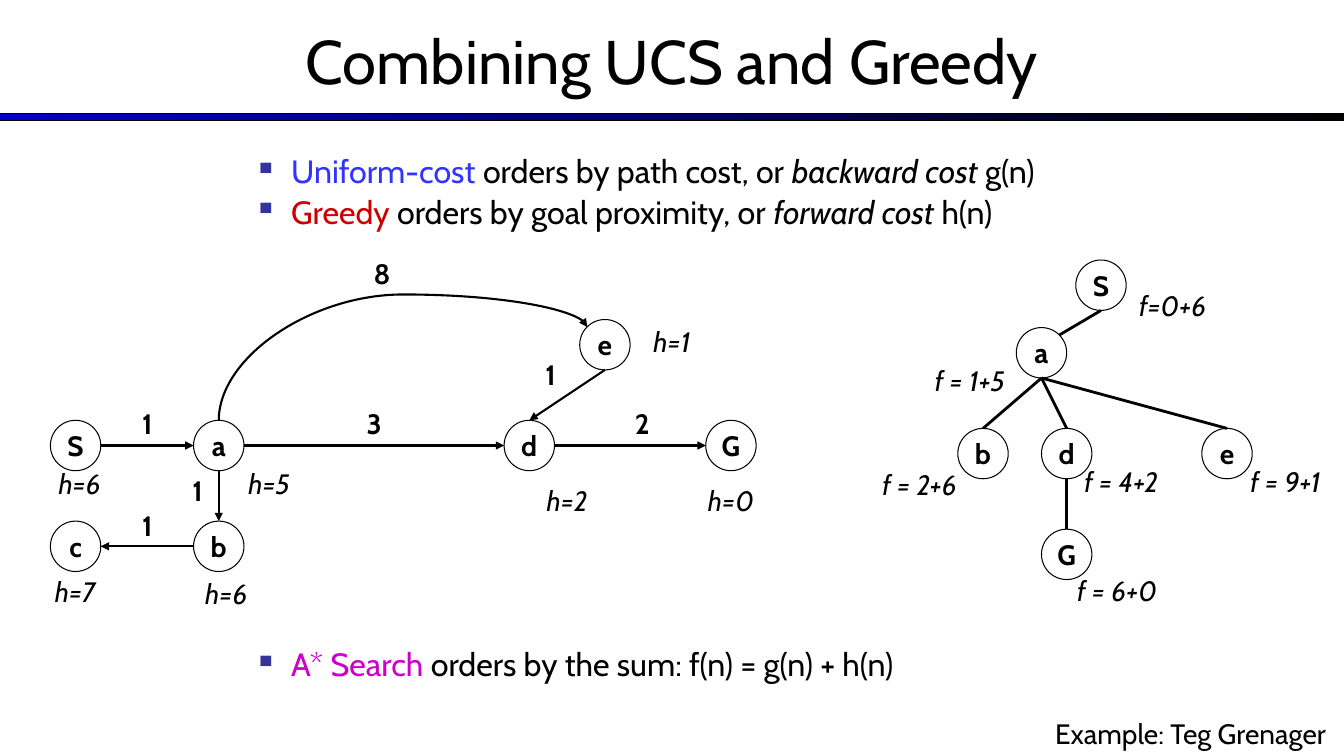
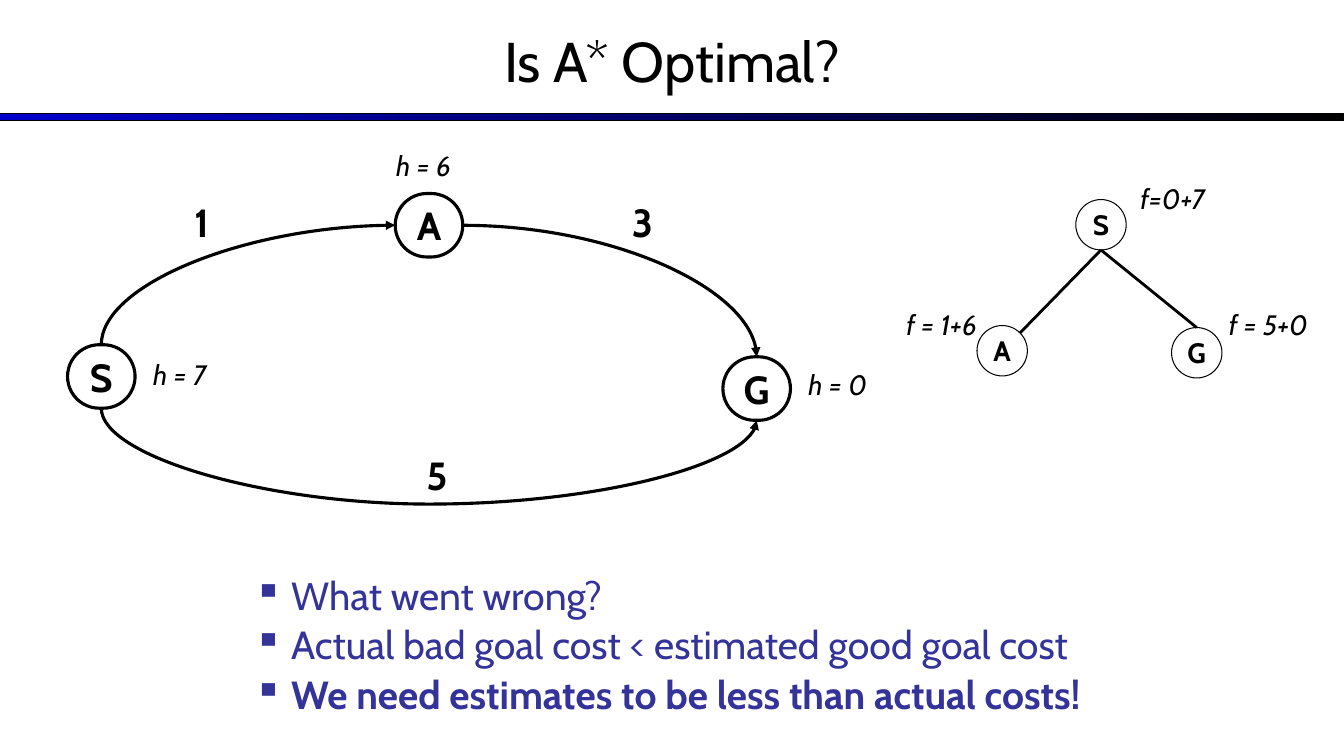
from lxml import etree
from pptx import Presentation
from pptx import util as u
from pptx.dml.color import RGBColor
from pptx.enum import shapes, text
from pptx.oxml import ns

BLACK = RGBColor(0x00, 0x00, 0x00)
WHITE = RGBColor(0xFF, 0xFF, 0xFF)
BAND_BLUE = RGBColor(0x00, 0x00, 0xCC)
BLUE = RGBColor(0x33, 0x33, 0xFF)
RED = RGBColor(0xCC, 0x00, 0x00)
MAGENTA = RGBColor(0xCC, 0x00, 0xCC)
INDIGO = RGBColor(0x33, 0x33, 0x99)

FONT = "Cabin"
OVAL = shapes.MSO_SHAPE.OVAL
ROUNDED = shapes.MSO_SHAPE.ROUNDED_RECTANGLE
CENTER = text.PP_ALIGN.CENTER
LEFT = text.PP_ALIGN.LEFT
RIGHT = text.PP_ALIGN.RIGHT

ANCHORS = {
    "top": (0.5, 0),
    "top left": (0.15, 0.15),
    "left": (0, 0.5),
    "bottom": (0.5, 1),
    "right": (1, 0.5),
    "top right": (0.85, 0.15),
}
SITES = {
    OVAL: {"top": 0, "top left": 1, "left": 2, "bottom": 4, "right": 6, "top right": 7},
    ROUNDED: {"top": 0, "left": 1, "bottom": 2, "right": 3},
}


def add_xml(parent, tag, **attributes):
    return etree.SubElement(parent, ns.qn(tag), attributes)


def style_font(font, size, color=BLACK, bold=False, italic=False):
    font.name = FONT
    font.size = u.Pt(size)
    font.color.rgb = color
    font.bold = bold
    font.italic = italic


def add_band(slide, width):
    band = slide.shapes.add_shape(
        shapes.MSO_SHAPE.RECTANGLE, 0, u.Inches(1.13), width, u.Inches(0.07))
    band.shadow.inherit = False
    band.fill.gradient()
    band.fill.gradient_angle = 0
    for stop, color in zip(band.fill.gradient_stops, (BAND_BLUE, BLACK)):
        stop.color.rgb = color
    band.line.color.rgb = BLACK
    band.line.width = u.Pt(0.75)


def add_slide(presentation, title_text, title_size):
    slide = presentation.slides.add_slide(presentation.slide_layouts[5])
    add_band(slide, presentation.slide_width)
    title = slide.shapes.title
    title.left, title.top = 0, u.Inches(-0.03)
    title.width, title.height = presentation.slide_width, u.Inches(1.25)
    title.text_frame.text = title_text
    title.text_frame.vertical_anchor = text.MSO_ANCHOR.MIDDLE
    paragraph = title.text_frame.paragraphs[0]
    paragraph.alignment = CENTER
    style_font(paragraph.font, title_size)
    return slide


def add_text_box(slide, left, top, width, height):
    box = slide.shapes.add_textbox(
        u.Inches(left), u.Inches(top), u.Inches(width), u.Inches(height))
    box.text_frame.word_wrap = True
    return box.text_frame


def add_label(slide, label, left, top, width, size=20, bold=False, italic=False,
              alignment=CENTER):
    frame = add_text_box(slide, left, top, width, 0.44 if size == 20 else 0.57)
    frame.text = label
    paragraph = frame.paragraphs[0]
    paragraph.alignment = alignment
    style_font(paragraph.font, size, bold=bold, italic=italic)


def add_bullets(slide, top, height, size, items, space, color=BLACK):
    frame = add_text_box(slide, 2.42, top, 9, height)
    for index, runs in enumerate(items):
        paragraph = frame.paragraphs[0] if index == 0 else frame.add_paragraph()
        properties = paragraph._p.get_or_add_pPr()
        properties.set("marL", str(u.Inches(0.37)))
        properties.set("indent", str(-u.Inches(0.37)))
        bullet_color = add_xml(properties, "a:buClr")
        add_xml(bullet_color, "a:srgbClr", val=str(INDIGO))
        add_xml(properties, "a:buChar", char="▪")
        paragraph.line_spacing = 0.9
        if index:
            paragraph.space_before = u.Pt(space)
        style_font(paragraph.font, size, color)
        for words, changes in runs:
            run = paragraph.add_run()
            run.text = words
            if "color" in changes:
                run.font.color.rgb = changes["color"]
            if "italic" in changes:
                run.font.italic = True
            if "bold" in changes:
                run.font.bold = True


def add_node(slide, name, left, top, kind=OVAL):
    width, height, size, weight = (0.5, 0.5, 20, 0.75) if kind == OVAL else (0.67, 0.63, 28, 2.25)
    node = slide.shapes.add_shape(
        kind, u.Inches(left), u.Inches(top), u.Inches(width), u.Inches(height))
    node.shadow.inherit = False
    if kind == ROUNDED:
        node.adjustments[0] = 0.5
        node.fill.background()
    else:
        node.fill.solid()
        node.fill.fore_color.rgb = WHITE
    node.line.color.rgb = BLACK
    node.line.width = u.Pt(weight)
    frame = node.text_frame
    frame.word_wrap = False
    frame.vertical_anchor = text.MSO_ANCHOR.MIDDLE
    frame.text = name
    paragraph = frame.paragraphs[0]
    paragraph.alignment = CENTER
    style_font(paragraph.font, size, bold=True)
    return node


def add_nodes(slide, places, kind=OVAL):
    return {name: add_node(slide, name, left, top, kind) for name, left, top in places}


def anchor_point(node, side):
    across, down = ANCHORS[side]
    return node.left + int(node.width * across), node.top + int(node.height * down)


def add_edge(slide, start, start_side, end, end_side, weight=1.5, arrow=True,
             kind=shapes.MSO_CONNECTOR.STRAIGHT):
    edge = slide.shapes.add_connector(
        kind, *anchor_point(start, start_side), *anchor_point(end, end_side))
    joints = edge._element.nvCxnSpPr.cNvCxnSpPr
    for tag, node, side in (("a:stCxn", start, start_side), ("a:endCxn", end, end_side)):
        site = SITES[node.auto_shape_type][side]
        add_xml(joints, tag, id=str(node.shape_id), idx=str(site))
    edge.line.color.rgb = BLACK
    edge.line.width = u.Pt(weight)
    if arrow:
        add_xml(edge.line._get_or_add_ln(), "a:tailEnd", type="triangle")
    add_xml(edge._element.spPr, "a:effectLst")
    return edge


def add_curve(slide, start, start_side, end, end_side, preset, weight,
              turn=0, flips=(), bend=None):
    curve = add_edge(slide, start, start_side, end, end_side, weight,
                     kind=shapes.MSO_CONNECTOR.CURVE)
    left, top, width, height = curve.left, curve.top, curve.width, curve.height
    if turn:
        curve.left = left + (width - height) // 2
        curve.top = top + (height - width) // 2
        curve.width, curve.height = height, width
    frame = curve._element.spPr.find(ns.qn("a:xfrm"))
    for flip in ("flipH", "flipV"):
        frame.attrib.pop(flip, None)
        if flip in flips:
            frame.set(flip, "1")
    frame.set("rot", str(turn * 60000))
    geometry = curve._element.spPr.find(ns.qn("a:prstGeom"))
    geometry.set("prst", preset)
    if bend:
        add_xml(geometry.find(ns.qn("a:avLst")), "a:gd",
                name="adj1", fmla=f"val {int(bend * 100000)}")


def build_combining_slide(presentation):
    slide = add_slide(presentation, "Combining UCS and Greedy", 44)
    add_bullets(slide, 1.5, 0.9, 23, [
        [("Uniform-cost ", {"color": BLUE}), ("orders by path cost, or ", {}),
         ("backward cost ", {"italic": True}), ("g(n)", {})],
        [("Greedy ", {"color": RED}), ("orders by goal proximity, or ", {}),
         ("forward cost ", {"italic": True}), ("h(n)", {})],
    ], 4)
    add_bullets(slide, 6.39, 0.5, 23, [
        [("A* Search", {"color": MAGENTA}),
         (" orders by the sum: f(n) = g(n) + h(n)", {})],
    ], 4)

    graph = add_nodes(slide, [
        ("S", 0.5, 4.17), ("a", 1.92, 4.17), ("d", 5, 4.17), ("G", 7, 4.17),
        ("c", 0.5, 5.17), ("b", 1.92, 5.17), ("e", 5.75, 3.17)])
    for start, start_side, end, end_side in [
            ("S", "right", "a", "left"), ("a", "right", "d", "left"),
            ("d", "right", "G", "left"), ("a", "bottom", "b", "top"),
            ("b", "left", "c", "right"), ("e", "bottom", "d", "top")]:
        add_edge(slide, graph[start], start_side, graph[end], end_side)
    add_curve(slide, graph["a"], "top", graph["e"], "top left",
              "curvedConnector3", 1.5, turn=270, bend=1.35)
    for cost, left, top in [
            ("1", 1.17, 3.98), ("8", 3.5, 2.5), ("1", 1.17, 5), ("1", 1.67, 4.65),
            ("2", 6.08, 3.98), ("3", 3.42, 3.98), ("1", 5.17, 3.5)]:
        add_label(slide, cost, left, top, 0.58, bold=True)

    tree = add_nodes(slide, [
        ("S", 10.67, 2.58), ("a", 10.08, 3.25), ("b", 9.5, 4.25),
        ("d", 10.33, 4.25), ("e", 11.92, 4.25), ("G", 10.33, 5.25)])
    for parent, child, side in [
            ("S", "a", "top right"), ("a", "b", "top"), ("a", "d", "top"),
            ("a", "e", "top"), ("d", "G", "top")]:
        add_edge(slide, tree[parent], "bottom", tree[child], side, 2, False)

    for estimate, left, top, width in [
            ("h=6", 0.33, 4.58, 0.92), ("h=5", 2.17, 4.58, 1), ("h=2", 5.25, 4.75, 0.75),
            ("h=0", 6.75, 4.75, 1), ("h=7", 0.33, 5.65, 0.83), ("h=6", 1.83, 5.67, 0.83),
            ("h=1", 6.25, 3.17, 0.83), ("f=0+6", 11.17, 2.81, 0.92),
            ("f = 1+5", 9.08, 3.56, 1.08), ("f = 2+6", 8.58, 4.59, 1.08),
            ("f = 4+2", 10.58, 4.56, 1.08), ("f = 6+0", 10.58, 5.64, 1),
            ("f = 9+1", 12.25, 4.56, 1)]:
        add_label(slide, estimate, left, top, width, italic=True)
    add_label(slide, "Example: Teg Grenager", 10.17, 7.06, 3.08, alignment=RIGHT)


def build_optimal_slide(presentation):
    slide = add_slide(presentation, "Is A* Optimal?", 40)
    add_bullets(slide, 5.67, 1.6, 28, [
        [("What went wrong?", {})],
        [("Actual bad goal cost < estimated good goal cost", {})],
        [("We need estimates to be less than actual costs!", {"bold": True})],
    ], 5, INDIGO)

    graph = add_nodes(slide, [("A", 3.92, 1.92), ("G", 7.17, 3.54), ("S", 0.67, 3.42)], ROUNDED)
    add_curve(slide, graph["S"], "bottom", graph["G"], "bottom",
              "curvedConnector3", 2.25, turn=270, flips=("flipH",), bend=7.92)
    add_curve(slide, graph["S"], "top", graph["A"], "left",
              "curvedConnector2", 2.25, turn=90, flips=("flipH", "flipV"))
    add_curve(slide, graph["A"], "right", graph["G"], "top", "curvedConnector2", 2.25)
    for cost, left, top in [("1", 1.83, 1.92), ("3", 6.17, 1.92), ("5", 4.13, 4.43)]:
        add_label(slide, cost, left, top, 0.5, size=28, bold=True, alignment=LEFT)
    for estimate, left, top in [("h = 6", 3.83, 1.42), ("h = 0", 7.92, 3.6), ("h = 7", 1.42, 3.5)]:
        add_label(slide, estimate, left, top, 1, italic=True, alignment=LEFT)

    tree = add_nodes(slide, [("S", 10.67, 1.98), ("A", 9.69, 3.23), ("G", 11.62, 3.25)])
    for child, side in [("A", "top right"), ("G", "top")]:
        add_edge(slide, tree["S"], "bottom", tree[child], side, 2, False)
    for total, left, top in [("f=0+7", 11.09, 1.75), ("f = 1+6", 8.8, 3), ("f = 5+0", 12.04, 3)]:
        add_label(slide, total, left, top, 1.08, italic=True)


def main():
    presentation = Presentation()
    presentation.slide_width = u.Inches(13.33)
    presentation.slide_height = u.Inches(7.5)
    build_combining_slide(presentation)
    build_optimal_slide(presentation)
    presentation.save("out.pptx")


if __name__ == "__main__":
    main()
